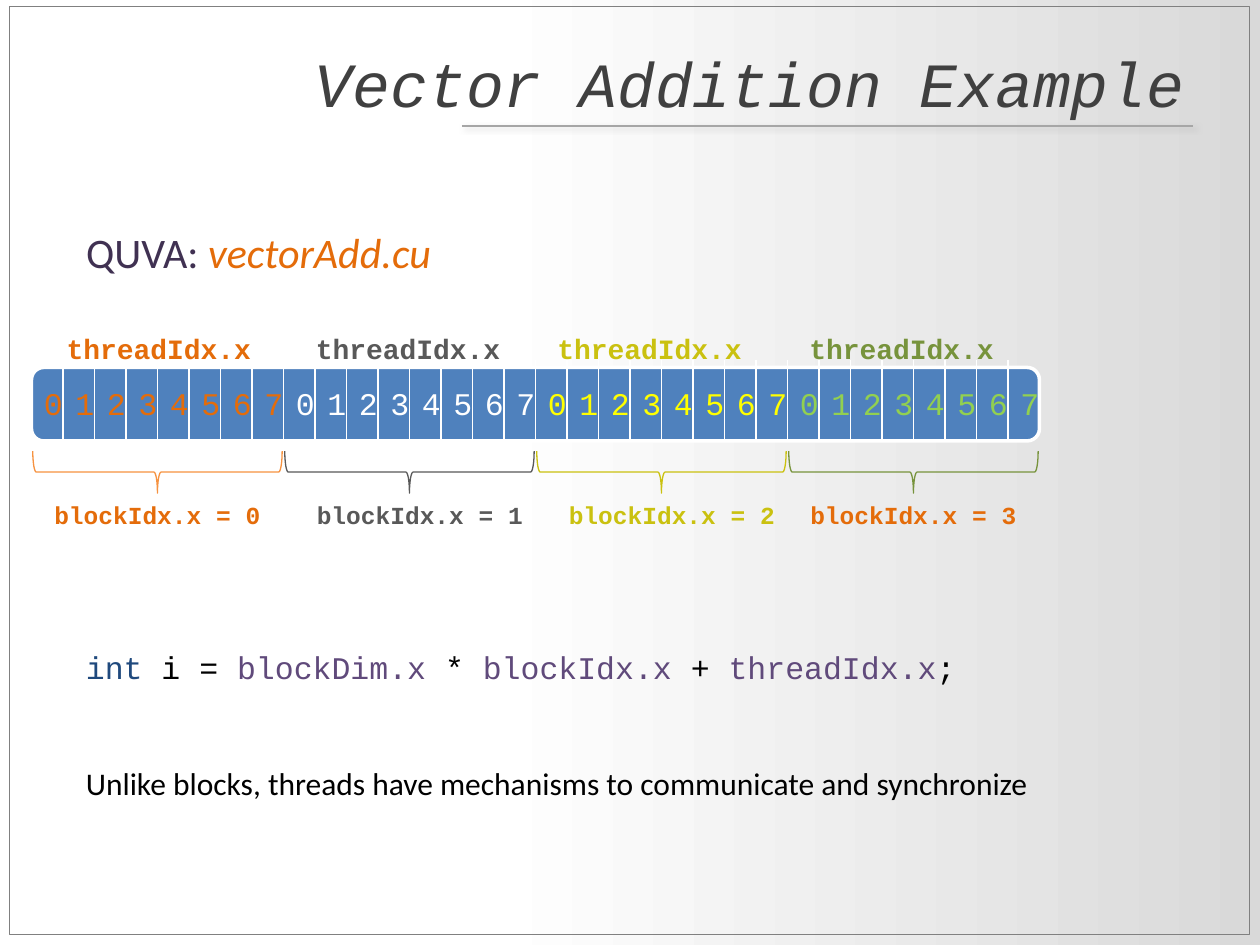
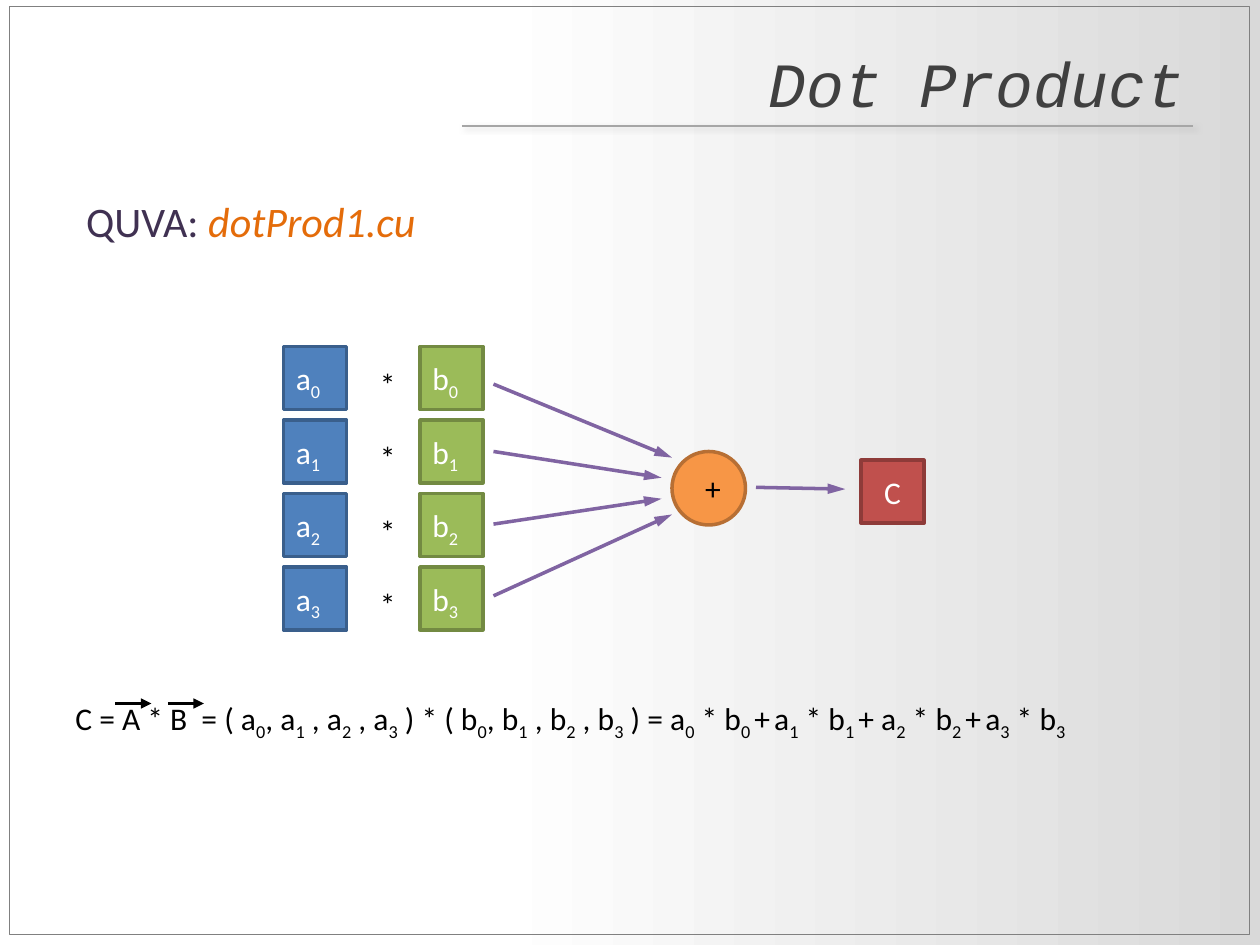
from pptx import Presentation
from pptx.dml.color import RGBColor
from pptx.enum.shapes import MSO_CONNECTOR, MSO_SHAPE as Shape
from pptx.enum.text import MSO_ANCHOR as Anchor, MSO_AUTO_SIZE as AutoSize, PP_ALIGN as Align
from pptx.oxml.ns import qn
from pptx.util import Pt
from lxml.etree import SubElement

# Colours and fonts
WHITE = RGBColor(0xFF, 0xFF, 0xFF)
BLACK = RGBColor(0, 0, 0)
SHADE = RGBColor(0xD9, 0xD9, 0xD9)
FRAME_GREY = RGBColor(0x80, 0x80, 0x80)
RULE_GREY = RGBColor(0xA6, 0xA6, 0xA6)
TITLE_GREY = RGBColor(0x40, 0x40, 0x40)
DARK_GREY = RGBColor(0x59, 0x59, 0x59)
DEEP_PURPLE = RGBColor(0x40, 0x31, 0x52)
CODE_PURPLE = RGBColor(0x60, 0x4A, 0x7B)
ARROW_PURPLE = RGBColor(0x80, 0x64, 0xA2)
NAVY = RGBColor(0x1F, 0x49, 0x7D)
BLUE = RGBColor(0x4F, 0x81, 0xBD)
BLUE_EDGE = RGBColor(0x3A, 0x5F, 0x8C)
GREEN = RGBColor(0x9B, 0xBB, 0x59)
GREEN_EDGE = RGBColor(0x73, 0x8A, 0x42)
LIME = RGBColor(0x92, 0xD0, 0x50)
OLIVE = RGBColor(0x77, 0x93, 0x3C)
YELLOW = RGBColor(0xFF, 0xFF, 0)
MUSTARD = RGBColor(0xCA, 0xC1, 0x10)
ORANGE = RGBColor(0xE4, 0x6C, 0x0A)
BRACE_ORANGE = RGBColor(0xF6, 0x92, 0x40)
SUM_ORANGE = RGBColor(0xF7, 0x96, 0x46)
SUM_EDGE = RGBColor(0xB7, 0x6F, 0x34)
RED = RGBColor(0xC0, 0x50, 0x4D)
RED_EDGE = RGBColor(0x8E, 0x3B, 0x39)
SANS, MONO = "Calibri", "Courier New"

# Heading prefix shared by the pages
PLATFORM = "QUVA: "

# Vector addition: digit, brace, thread label, block label colours; label lefts
BLOCKS = [
    (ORANGE, BRACE_ORANGE, ORANGE, ORANGE, 19.5, 18),
    (WHITE, DARK_GREY, DARK_GREY, DARK_GREY, 162, 168),
    (YELLOW, MUSTARD, MUSTARD, MUSTARD, 300, 312),
    (LIME, OLIVE, OLIVE, ORANGE, 444, 450),
]
THREADS = 8
INDEX_CODE = [("int ", NAVY), ("i = ", BLACK), ("blockDim.x", CODE_PURPLE), (" * ", BLACK),
              ("blockIdx.x", CODE_PURPLE), (" + ", BLACK), ("threadIdx.x", CODE_PURPLE),
              (";", BLACK)]
THREAD_NOTE = "Unlike blocks, threads have mechanisms to communicate and synchronize"

# Dot product: columns of factors, arrows and (text, subscript) pairs
FACTORS = [("a", 162, BLUE, BLUE_EDGE), ("b", 240, GREEN, GREEN_EDGE)]
FACTOR_ROWS = 4
FLOWS = [(282, 219.5, 384, 261.5), (282, 258, 378, 273), (282, 299.5, 378, 285),
         (282, 340.5, 384, 294), (432, 278.5, 483, 279.5)]
FORMULA = [("C = A * B  = ( a", "0"), (", a", "1"), (" , a", "2"), (" , a", "3"),
           (" ) * ( b", "0"), (", b", "1"), (" , b", "2"), (" , b", "3"),
           (" ) = a", "0"), (" * b", "0 "), ("+", " "), ("a", "1"), (" * b", "1 "),
           ("+ a", "2"), (" * b", "2 "), ("+", " "), ("a", "3"), (" * b", "3")]
VECTOR_MARKS = [66, 96]


def add_run(para, text, color, font=SANS, size=18, bold=False, italic=False, sub=False):
    span = para.add_run()
    span.text = text
    style = span.font
    style.name, style.size, style.bold, style.italic = font, Pt(size), bold, italic
    style.color.rgb = color
    if sub:
        span._r.get_or_add_rPr().set("baseline", "-25000")


def add_text(page, left, top, width, height, align=Align.LEFT):
    """Add an empty wrapped text box and return its paragraph."""
    frame = page.shapes.add_textbox(Pt(left), Pt(top), Pt(width), Pt(height)).text_frame
    frame.word_wrap = True
    frame.auto_size = AutoSize.SHAPE_TO_FIT_TEXT
    para = frame.paragraphs[0]
    para.alignment = align
    return para


def add_box(page, kind, left, top, width, height, fill, edge, weight):
    box = page.shapes.add_shape(kind, Pt(left), Pt(top), Pt(width), Pt(height))
    box.shadow.inherit = False
    if fill is None:
        box.fill.background()
    else:
        box.fill.solid()
        box.fill.fore_color.rgb = fill
    box.line.color.rgb = edge
    box.line.width = Pt(weight)
    return box


def box_para(box, align, margin_left=7.2, margin_top=3.6):
    frame = box.text_frame
    frame.vertical_anchor = Anchor.MIDDLE
    frame.margin_left, frame.margin_top = Pt(margin_left), Pt(margin_top)
    para = frame.paragraphs[0]
    para.alignment = align
    return para


def add_line(page, x1, y1, x2, y2, color, weight, head_length=None):
    """Add a line, with an arrowhead when head_length is given; return its effect list."""
    line = page.shapes.add_connector(MSO_CONNECTOR.STRAIGHT, Pt(x1), Pt(y1), Pt(x2), Pt(y2))
    line.line.color.rgb = color
    line.line.width = Pt(weight)
    if head_length:
        SubElement(line.line._get_or_add_ln(), qn("a:tailEnd"),
                   type="triangle", w="med", len=head_length)
    return SubElement(line._element.spPr, qn("a:effectLst"))


def place(box, left, top, width, height):
    box.left, box.top, box.width, box.height = Pt(left), Pt(top), Pt(width), Pt(height)


def add_page(deck, title, file_name, body_top, body_height):
    """Add a page with the shared frame, title, rule and file heading."""
    page = deck.slides.add_slide(deck.slide_layouts[1])
    add_box(page, Shape.RECTANGLE, 5.4, 3.8, 708.5, 530, None, FRAME_GREY, 0.5)

    heading = page.shapes.title
    place(heading, 36, 21.6, 648, 90)
    frame = heading.text_frame
    frame.vertical_anchor = Anchor.TOP
    frame.margin_top = Pt(3.6)
    frame.paragraphs[0].alignment = Align.RIGHT
    add_run(frame.paragraphs[0], title, TITLE_GREY, MONO, 36, italic=True)

    effects = add_line(page, 264, 72, 682, 72, RULE_GREY, 1)
    shadow = SubElement(effects, qn("a:outerShdw"), blurRad=str(Pt(3)), dist=str(Pt(2)),
                        dir="2700000", algn="tl", rotWithShape="0")
    shade = SubElement(shadow, qn("a:srgbClr"), val=str(FRAME_GREY))
    SubElement(shade, qn("a:alpha"), val="25000")

    body = page.placeholders[1]
    place(body, 42, body_top, 648, body_height)
    para = body.text_frame.paragraphs[0]
    para.space_before = Pt(0)
    properties = para._p.get_or_add_pPr()
    properties.set("marL", "0")
    properties.set("indent", "0")
    SubElement(properties, qn("a:buNone"))
    add_run(para, PLATFORM, DEEP_PURPLE, size=24)
    add_run(para, file_name, ORANGE, size=24, italic=True)
    return page


def build_vector_addition(deck):
    page = add_page(deck, "Vector Addition Example", "vectorAdd.cu", 126, 80)
    left, cell = 18, 18
    span_width = THREADS * cell
    count = len(BLOCKS) * THREADS

    # Array bar and its dividers
    add_box(page, Shape.ROUNDED_RECTANGLE, left, 210, count * cell, 42, BLUE, WHITE, 2)
    for index in range(1, count):
        x = left + index * cell
        add_line(page, x, 206, x, 252, WHITE, 0.75)

    # Thread numbers, braces and labels of each block
    for block, (digit, edge, thread, label, thread_left, label_left) in enumerate(BLOCKS):
        start = left + block * span_width
        for number in range(THREADS):
            para = add_text(page, start + number * cell, 216, cell, 29)
            add_run(para, str(number), digit, MONO)
        brace = add_box(page, Shape.LEFT_BRACE, start + span_width / 2 - 12, 198.5,
                        24, 142.5, None, edge, 0.75)
        brace.rotation = 270
        para = add_text(page, thread_left, 186, 142.5, 26.5, Align.CENTER)
        add_run(para, "threadIdx.x", thread, MONO, 16, bold=True)
        para = add_text(page, label_left, 282, 144, 24.5, Align.CENTER)
        add_run(para, f"blockIdx.x = {block}", label, MONO, 14, bold=True)

    # Index formula and note
    code = add_text(page, 42, 367, 570, 29)
    for text, color in INDEX_CODE:
        add_run(code, text, color, MONO)
    add_run(add_text(page, 42, 433, 570, 29), THREAD_NOTE, BLACK)


def build_dot_product(deck):
    page = add_page(deck, "Dot Product", "dotProd1.cu", 108, 36)

    # Factor pairs
    for row in range(FACTOR_ROWS):
        top = 198 + 42 * row
        for name, left, fill, edge in FACTORS:
            box = add_box(page, Shape.RECTANGLE, left, top, 36, 36, fill, edge, 2)
            para = box_para(box, Align.LEFT, margin_top=6.4)
            add_run(para, name, WHITE)
            add_run(para, str(row), WHITE, sub=True)
        add_run(add_text(page, 210, top + 7, 18, 29, Align.CENTER), "*", BLACK)

    # Sum and result
    total = add_box(page, Shape.OVAL, 384, 258, 42, 42, SUM_ORANGE, SUM_EDGE, 2)
    add_run(box_para(total, Align.CENTER, margin_left=12), "+", BLACK)
    result = add_box(page, Shape.RECTANGLE, 492, 263, 36, 36, RED, RED_EDGE, 2)
    add_run(box_para(result, Align.CENTER), "C", WHITE)
    for flow in FLOWS:
        add_line(page, *flow, ARROW_PURPLE, 2, "lg")

    # Formula with vector marks over A and B
    para = add_text(page, 36, 396, 630, 29)
    for text, subscript in FORMULA:
        add_run(para, text, BLACK)
        add_run(para, subscript, BLACK, sub=True)
    for x in VECTOR_MARKS:
        add_line(page, x, 402, x + 20.5, 402, BLACK, 1.25, "med")


def main():
    deck = Presentation()
    deck.slide_width, deck.slide_height = Pt(720), Pt(540)

    # Shared background
    fill = deck.slide_master.background.fill
    fill.gradient()
    fill.gradient_angle = 0
    for stop, (position, color) in zip(fill.gradient_stops, [(0.39, WHITE), (1, SHADE)]):
        stop.position = position
        stop.color.rgb = color

    build_vector_addition(deck)
    build_dot_product(deck)
    deck.save("out.pptx")


if __name__ == "__main__":
    main()
